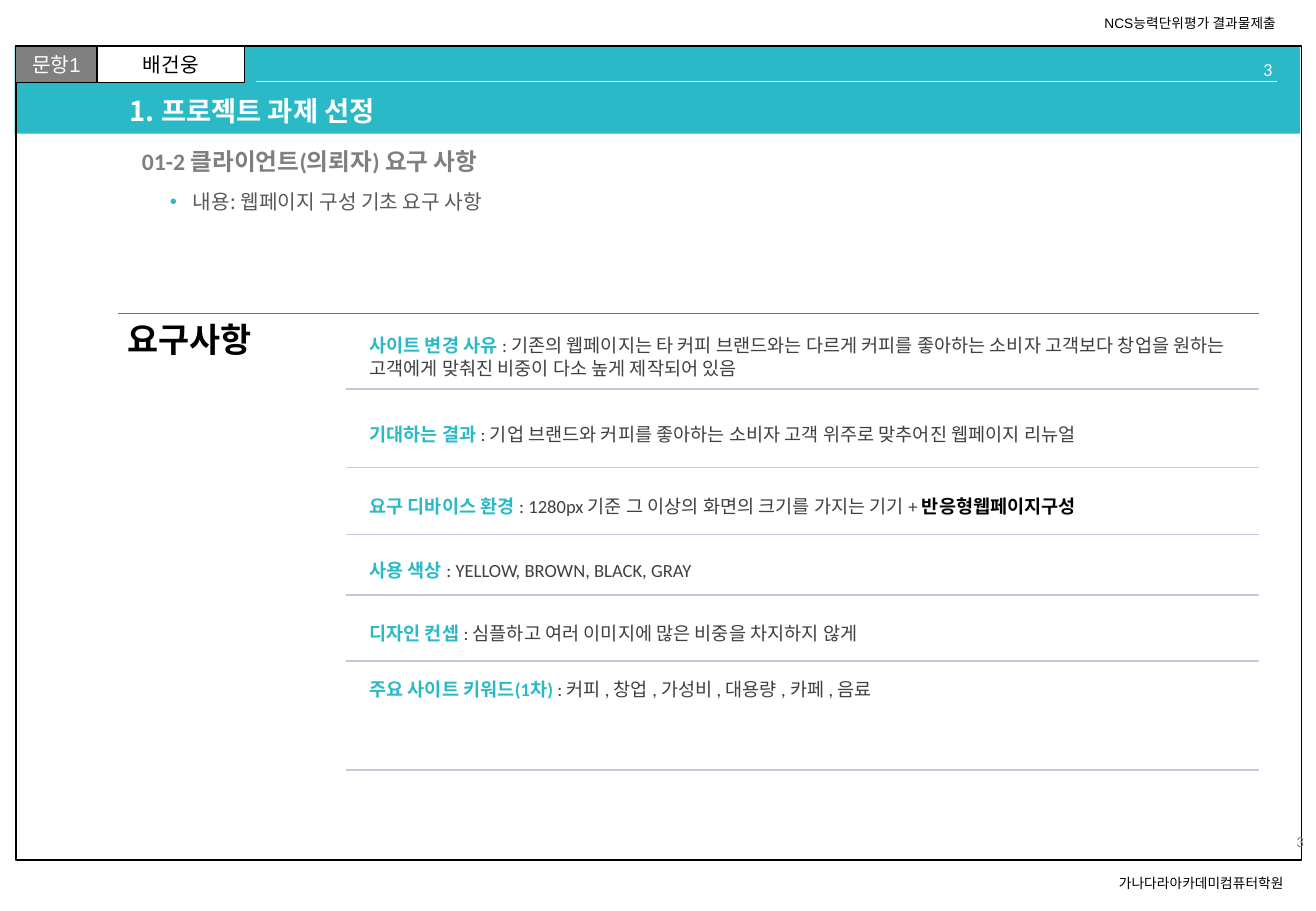
from dataclasses import dataclass

from lxml import etree
from pptx import Presentation
from pptx.dml.color import RGBColor
from pptx.enum.shapes import MSO_CONNECTOR, MSO_SHAPE
from pptx.enum.text import MSO_ANCHOR, PP_ALIGN
from pptx.oxml.ns import qn
from pptx.util import Inches, Pt

RECT, STRAIGHT = MSO_SHAPE.RECTANGLE, MSO_CONNECTOR.STRAIGHT
LEFT, CENTER, RIGHT = PP_ALIGN.LEFT, PP_ALIGN.CENTER, PP_ALIGN.RIGHT
TOP, MIDDLE, BOTTOM = MSO_ANCHOR.TOP, MSO_ANCHOR.MIDDLE, MSO_ANCHOR.BOTTOM

COLS, ROWS = 108.3, 75
CELL = Inches(0.1)


@dataclass(frozen=True)
class Theme:
    accent: str = "2AB9C7"
    white: str = "FFFFFF"
    black: str = "000000"
    tab: str = "808080"
    page: str = "F2F2F2"
    subtitle: str = "7F7F7F"
    body: str = "595959"
    detail: str = "404040"
    rule: str = "4472C4"
    divider: str = "C1C9E4"
    arial: str = "Arial"
    calibri: str = "Calibri"
    noto: str = "Noto Sans CJK KR"
    note_size: float = 8.1
    number_size: float = 8.9
    page_size: float = 11
    row_size: float = 11
    body_size: float = 12
    subtitle_size: float = 14
    title_size: float = 16.2
    heading_size: float = 20


@dataclass(frozen=True)
class Box:
    x: float
    y: float
    w: float
    h: float

    def sub(self, x, y, w, h):
        return Box(self.x + x, self.y + y, w, h)

    def emu(self):
        return [round(v * CELL) for v in (self.x, self.y, self.w, self.h)]


T = Theme()


def rgb(color):
    return RGBColor.from_string(color)


def write(tf, runs, size, font, align=LEFT, anchor=TOP, inset=(1, 0.5), spacing=None):
    tf.word_wrap = True
    tf.vertical_anchor = anchor
    tf.margin_left = tf.margin_right = round(inset[0] * CELL)
    tf.margin_top = tf.margin_bottom = round(inset[1] * CELL)
    p = tf.paragraphs[0]
    p.alignment = align
    if spacing:
        p.line_spacing = spacing
    for text, color, bold in runs:
        r = p.add_run()
        r.text = text
        r.font.size = Pt(size)
        r.font.name = font
        r.font.bold = bold
        r.font.color.rgb = rgb(color)
        ea = etree.SubElement(r.font._element, qn("a:ea"))
        ea.set("typeface", T.noto)
    return p


def add_text(s, box, runs, size, font, **layout):
    sp = s.shapes.add_textbox(*box.emu())
    return write(sp.text_frame, runs, size, font, **layout)


def add_rect(s, box, fill=None, line=None, width=0.75):
    sp = s.shapes.add_shape(RECT, *box.emu())
    sp.shadow.inherit = False
    if fill:
        sp.fill.solid()
        sp.fill.fore_color.rgb = rgb(fill)
    else:
        sp.fill.background()
    if line:
        sp.line.color.rgb = rgb(line)
        sp.line.width = Pt(width)
    else:
        sp.line.fill.background()
    return sp


def add_rule(s, box, color, width=1):
    x, y, w, h = box.emu()
    cxn = s.shapes.add_connector(STRAIGHT, x, y, x + w, y + h)
    cxn.line.color.rgb = rgb(color)
    cxn.line.width = Pt(width)
    etree.SubElement(cxn._element.spPr, qn("a:effectLst"))


def add_bullet(p, color, indent):
    pPr = p._p.get_or_add_pPr()
    pPr.set("marL", str(round(indent * CELL)))
    pPr.set("indent", str(-round(indent * CELL)))
    clr = etree.SubElement(pPr, qn("a:buClr"))
    etree.SubElement(clr, qn("a:srgbClr")).set("val", color)
    etree.SubElement(pPr, qn("a:buFont")).set("typeface", T.arial)
    etree.SubElement(pPr, qn("a:buChar")).set("char", "•")


def draw_frame(s, box):
    add_rect(s, box.sub(1.2, 3.8, 105.8, 7.2), fill=T.accent)
    add_rect(s, box.sub(1.3, 3.8, 105.8, 67), line=T.black, width=1)
    notes = [
        (box.sub(91.1, 71.5, 16.8, 2.4), "가나다라아카데미컴퓨터학원"),
        (box.sub(89.9, 0.7, 17.2, 2.4), "NCS능력단위평가 결과물제출"),
    ]
    for place, text in notes:
        add_text(s, place, [(text, T.black, False)], T.note_size, T.arial)
    add_text(s, box.sub(95.3, 68.2, 13, 2.3), [("3", T.tab, False)],
             T.number_size, T.calibri, align=RIGHT, anchor=BOTTOM)


def draw_header(s, box):
    tabs = [
        (0, 6.7, "문항1", T.tab, T.white),
        (6.7, 12.1, "배건웅", T.white, T.black),
    ]
    for x, w, text, fill, color in tabs:
        sp = add_rect(s, box.sub(x, 0, w, 3), fill=fill, line=T.black)
        write(sp.text_frame, [(text, color, False)], T.body_size, T.arial, align=CENTER)
    add_text(s, box.sub(92.6, 0.5, 11.8, 2), [("3", T.page, False)],
             T.page_size, T.calibri, align=RIGHT)
    add_rule(s, box.sub(19.8, 2.9, 84, 0), T.white, 0.5)
    add_text(s, box.sub(8.4, 3.8, 87.6, 3.4), [("1. 프로젝트 과제 선정", T.white, True)],
             T.title_size, T.noto, anchor=MIDDLE, spacing=0.9)


def draw_intro(s, box):
    add_text(s, box.sub(0, 0, box.w, 3.4),
             [("01-2 클라이언트(의뢰자) 요구 사항", T.subtitle, True)],
             T.subtitle_size, T.calibri, anchor=MIDDLE, spacing=0.9)
    p = add_text(s, box.sub(2.3, 3.4, box.w - 2.3, 3.4),
                 [("내용: 웹페이지 구성 기초 요구 사항", T.body, False)],
                 T.body_size, T.noto)
    p.space_before = Pt(3)
    add_bullet(p, T.accent, 1.9)


def draw_requirements(s, box, heading, rows):
    label_w, pad, gap = 18.8, 1.4, 0.9
    add_rule(s, box.sub(0, 0, box.w, 0), T.rule)
    add_text(s, box.sub(0, 0, label_w, box.h), [(heading, T.black, True)],
             T.heading_size, T.calibri, inset=(0.8, 0.8), spacing=0.9)
    y = 0
    for height, anchor, label, detail, emphasis in rows:
        runs = [(label, T.accent, True), (detail, T.detail, False)]
        if emphasis:
            runs.append((emphasis, T.black, True))
        add_text(s, box.sub(label_w + pad, y + gap, box.w - label_w - pad, height - gap),
                 runs, T.row_size, T.calibri, anchor=anchor, inset=(0.5, 0.5))
        y += height
        add_rule(s, box.sub(label_w, y, box.w - label_w, 0), T.divider)


REQUIREMENTS = [
    (6.2, MIDDLE, "사이트 변경 사유 ",
     ": 기존의 웹페이지는 타 커피 브랜드와는 다르게 커피를 좋아하는 소비자 고객보다 "
     "창업을 원하는 고객에게 맞춰진 비중이 다소 높게 제작되어 있음", ""),
    (6.5, MIDDLE, "기대하는 결과 ",
     ": 기업 브랜드와 커피를 좋아하는 소비자 고객 위주로 맞추어진 웹페이지 리뉴얼", ""),
    (5.5, MIDDLE, "요구 디바이스 환경 ",
     ": 1280px 기준 그 이상의 화면의 크기를 가지는 기기 + ", "반응형웹페이지구성"),
    (5, MIDDLE, "사용 색상 ", ": YELLOW, BROWN, BLACK, GRAY", ""),
    (5.4, MIDDLE, "디자인 컨셉 ", ": 심플하고 여러 이미지에 많은 비중을 차지하지 않게", ""),
    (9, TOP, "주요 사이트 키워드(1차) ",
     ": 커피 , 창업 , 가성비 , 대용량 , 카페 , 음료", ""),
]

prs = Presentation()
prs.slide_width, prs.slide_height = round(COLS * CELL), ROWS * CELL
s = prs.slides.add_slide(prs.slide_layouts[6])
draw_frame(s, Box(0, 0, COLS, ROWS))
draw_header(s, Box(1.3, 3.8, 105.8, 7.2))
draw_intro(s, Box(10.7, 11.7, 86.6, 6.8))
draw_requirements(s, Box(9.7, 25.8, 93.9, 38.5), "요구사항", REQUIREMENTS)
prs.save("out.pptx")
